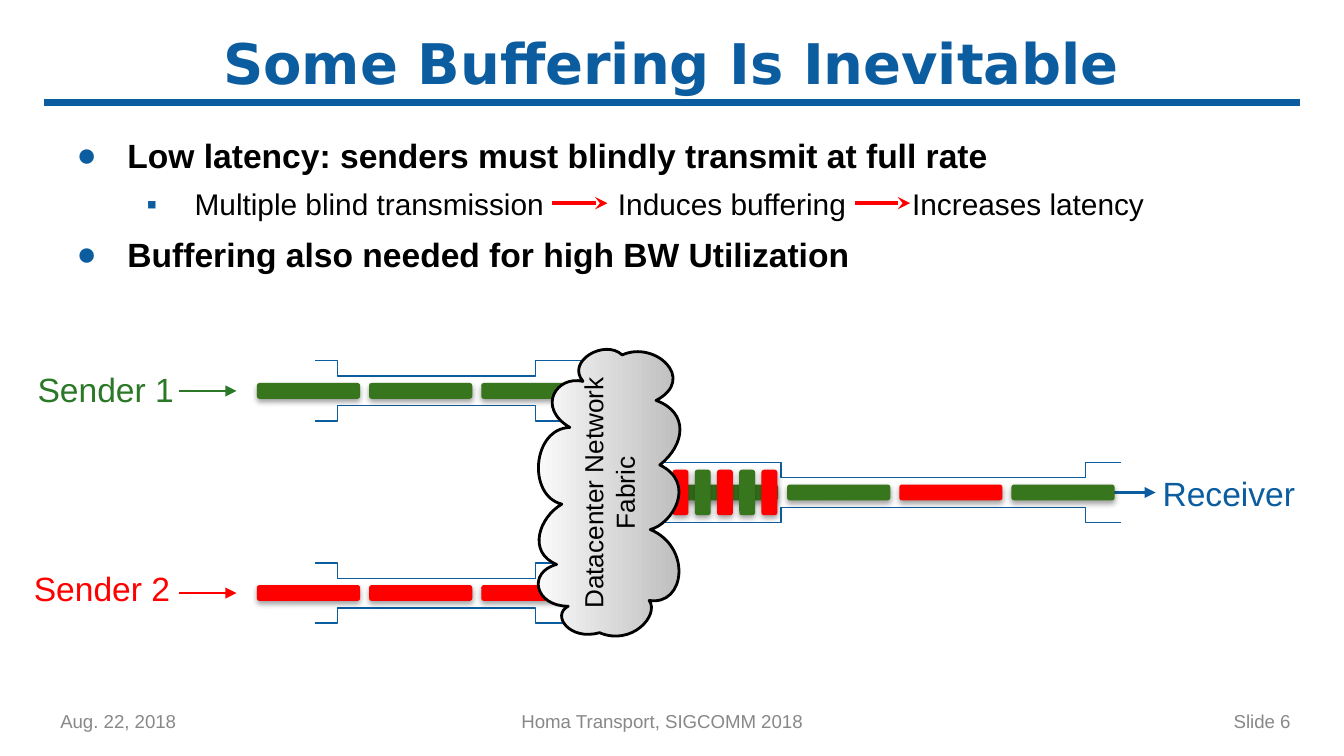
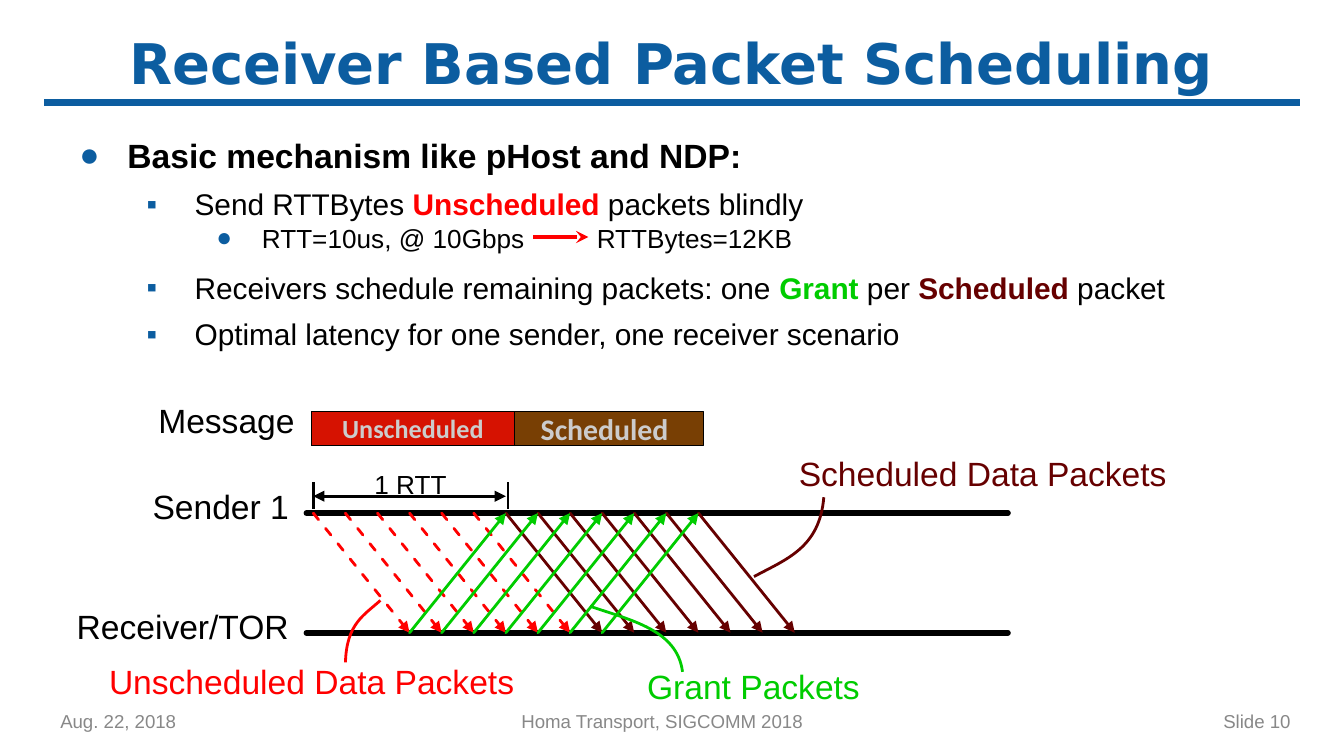
from dataclasses import dataclass

from pptx import Presentation
from pptx.dml.color import RGBColor
from pptx.enum.dml import MSO_LINE_DASH_STYLE as Dash
from pptx.enum.shapes import MSO_CONNECTOR as Connector, MSO_SHAPE as Preset
from pptx.enum.text import MSO_ANCHOR as Anchor, PP_ALIGN as Align
from pptx.oxml.ns import qn
from pptx.util import Cm, Pt
from lxml.etree import SubElement

# Shared look
BLUE = RGBColor(0x0C, 0x5D, 0xA0)
BLACK = RGBColor(0, 0, 0)
GREY = RGBColor(0x88, 0x88, 0x88)
RED = RGBColor(0xFF, 0, 0)
GREEN = RGBColor(0x38, 0x76, 0x1D)
LABEL_GREEN = RGBColor(0x2B, 0x78, 0x27)
GRANT_GREEN = RGBColor(0, 0xCC, 0)
MAROON = RGBColor(0x66, 0, 0)
BROWN = RGBColor(0x78, 0x3F, 0x04)
PALE = RGBColor(0xCC, 0xCC, 0xCC)
CLOUD_LIGHT = RGBColor(0xFA, 0xFA, 0xFA)
CLOUD_DARK = RGBColor(0xBE, 0xBE, 0xBE)
BODY_FONT, TITLE_FONT, BAR_FONT = "Arial", "DejaVu Sans", "Calibri"
INSETS = (0.25, 0.13, 0.25, 0.13)
BULLET_STYLES = [("●", 18, 0.96, 1.3), ("▪", 16, 0.91, 1.3), ("●", 14, 0.86, 1.0)]

Point = tuple[float, float]


@dataclass(frozen=True)
class Label:
    text: str
    left: float
    top: float
    width: float
    height: float = 0.76
    colour: RGBColor = BLACK
    size: float = 18
    align: Align = Align.LEFT
    anchor: Anchor = Anchor.TOP
    insets: tuple[float, ...] = (0, 0, 0, 0)
    font: str = BODY_FONT
    bold: bool = False


@dataclass(frozen=True)
class Bullet:
    level: int
    spans: tuple[tuple[str, RGBColor], ...]
    tabs: tuple[float, ...] = ()
    before: float = 0
    hang: float = 0


@dataclass(frozen=True)
class Sender:
    name: str
    label_left: float
    label_top: float
    y: float
    label_colour: RGBColor
    packet_colour: RGBColor


@dataclass(frozen=True)
class Flow:
    colour: RGBColor
    count: int
    first_slot: int
    upward: bool = False
    dash: Dash | None = None


# Drawing helpers
def style_text(shape, label: Label) -> None:
    frame = shape.text_frame
    frame.text = label.text
    frame.word_wrap = True
    frame.vertical_anchor = label.anchor
    (frame.margin_left, frame.margin_top,
     frame.margin_right, frame.margin_bottom) = map(Cm, label.insets)
    para = frame.paragraphs[0]
    para.alignment = label.align
    font = para.runs[0].font
    font.name, font.size, font.bold = label.font, Pt(label.size), label.bold
    font.color.rgb = label.colour


def frame_of(label: Label) -> list[Cm]:
    return [Cm(v) for v in (label.left, label.top, label.width, label.height)]


def add_label(page, label: Label) -> None:
    style_text(page.shapes.add_textbox(*frame_of(label)), label)


def add_line(page, start: Point, end: Point, colour: RGBColor, width: float,
             tail: str = "", head: str = "", dash: Dash | None = None,
             cap: str = "flat") -> None:
    link = page.shapes.add_connector(Connector.STRAIGHT, *map(Cm, (*start, *end)))
    link.line.color.rgb = colour
    link.line.width = Pt(width)
    if dash:
        link.line.dash_style = dash
    outline = link.line._get_or_add_ln()
    outline.set("cap", cap)
    for tag, kind in (("a:headEnd", head), ("a:tailEnd", tail)):
        if kind:
            SubElement(outline, qn(tag), type=kind)
    SubElement(link._element.spPr, qn("a:effectLst"))


def add_outline(page, points: list[Point], colour: RGBColor, width: float,
                closed: bool = False):
    (x, y), *rest = points
    builder = page.shapes.build_freeform(Cm(x), Cm(y))
    builder.add_line_segments([(Cm(px), Cm(py)) for px, py in rest], close=closed)
    shape = builder.convert_to_shape()
    shape.shadow.inherit = False
    shape.line.color.rgb = colour
    shape.line.width = Pt(width)
    if not closed:
        shape.fill.background()
    return shape


def add_curve(page, controls: list[Point], colour: RGBColor, width: float,
              box: tuple[float, ...] = ()):
    """Draw a chain of cubic curves; a box makes it a closed outline."""
    shape = add_outline(page, controls[::3], colour, width, closed=bool(box))
    if box:
        shape.left, shape.top, shape.width, shape.height = map(Cm, box)
    route = shape._element.spPr.find(".//" + qn("a:path"))
    route.set("w", str(shape.width))
    route.set("h", str(shape.height))
    steps = [route[0], *route.findall(qn("a:lnTo"))]
    for i, step in enumerate(steps):
        step.remove(step[0])
        if i:
            step.tag = qn("a:cubicBezTo")
        for x, y in controls[max(3 * i - 2, 0):3 * i + 1]:
            SubElement(step, qn("a:pt"), x=str(Cm(x) - shape.left),
                       y=str(Cm(y) - shape.top))
    return shape


def add_bullets(page, bullets: list[Bullet]) -> None:
    box = page.shapes.add_textbox(Cm(0.89), Cm(2.2), Cm(23.62), Cm(10.67))
    frame = box.text_frame
    frame.word_wrap = True
    for i, bullet in enumerate(bullets):
        para = frame.add_paragraph() if i else frame.paragraphs[0]
        mark, size, hang, spacing = BULLET_STYLES[bullet.level]
        para.level = bullet.level
        para.line_spacing = spacing
        para.space_before = Pt(bullet.before)
        for text, colour in bullet.spans:
            span = para.add_run()
            span.text = text
            span.font.name, span.font.size = BODY_FONT, Pt(size)
            span.font.bold = bullet.level == 0 or colour != BLACK
            span.font.color.rgb = colour
        props = para._p.get_or_add_pPr()
        props.set("marL", str(Cm(1.27 * (bullet.level + 1))))
        props.set("indent", str(-Cm(bullet.hang or hang)))
        SubElement(SubElement(props, qn("a:buClr")), qn("a:srgbClr"), val=str(BLUE))
        SubElement(props, qn("a:buFont"), typeface=BODY_FONT)
        SubElement(props, qn("a:buChar"), char=mark)
        if bullet.tabs:
            stops = SubElement(props, qn("a:tabLst"))
            for stop in bullet.tabs:
                SubElement(stops, qn("a:tab"), pos=str(Cm(stop)), algn="l")


def add_inline_arrow(page, left: float, y: float) -> None:
    add_line(page, (left, y), (left + 1.04, y), RED, 2.25, tail="stealth")


def add_page(deck, title: str, number: int, bullets: list[Bullet]):
    page = deck.slides.add_slide(deck.slide_layouts[5])
    add_line(page, (0.89, 1.94), (24.51, 1.94), BLUE, 3.5, cap="sq")
    heading = Label(title, 0.84, 0.41, 23.7, 1.52, BLUE, 30, Align.CENTER,
                    Anchor.MIDDLE, INSETS, TITLE_FONT, True)
    holder = page.shapes.title
    holder.left, holder.top, holder.width, holder.height = frame_of(heading)
    style_text(holder, heading)
    for text, left, width, align in (
            ("Aug. 22, 2018", 0.89, 2.79, Align.LEFT),
            ("Homa Transport, SIGCOMM 2018", 9.36, 6.3, Align.CENTER),
            (f"Slide {number}", 22.73, 1.91, Align.RIGHT)):
        add_label(page, Label(text, left, 13.25, width, 0.76, GREY, 10, align,
                              Anchor.MIDDLE, INSETS))
    add_bullets(page, bullets)
    return page


# Slide: buffering
PACKET_STEP = 2.12
SENDERS = [Sender("Sender 1", 0.71, 6.98, 7.39, LABEL_GREEN, GREEN),
           Sender("Sender 2", 0.64, 10.74, 11.21, RED, RED)]
RECEIVER_Y = 9.31
CLOUD_BOX = (10.16, 6.6, 2.69, 5.44)
CLOUD = [
    (10.74, 11.46), (10.11, 11.46), (9.96, 10.82), (10.52, 10.67),
    (9.96, 10.44), (10.19, 9.78), (10.62, 9.53),
    (9.96, 9.37), (10.06, 8.1), (10.77, 8.08),
    (10.13, 7.7), (10.52, 7.09), (11.02, 7.21),
    (10.69, 6.83), (11.43, 6.4), (11.76, 6.71),
    (12.37, 6.43), (13.18, 7.16), (12.4, 7.57),
    (13.03, 7.8), (12.95, 8.41), (12.47, 8.79),
    (13.18, 9.14), (12.7, 9.91), (12.29, 10.01),
    (13.08, 10.34), (12.95, 11.46), (12.27, 11.35),
    (12.47, 11.63), (11.94, 12.22), (11.33, 11.96),
    (10.77, 12.12), (10.41, 11.63), (10.74, 11.46)]


def add_packet(page, x: float, y: float, colour: RGBColor,
               width: float = 1.95, height: float = 0.3) -> None:
    packet = page.shapes.add_shape(
        Preset.ROUNDED_RECTANGLE, Cm(x - height / 2), Cm(y - width / 2),
        Cm(height), Cm(width))
    packet.rotation = 90
    packet.shadow.inherit = False
    packet.fill.solid()
    packet.fill.fore_color.rgb = colour
    packet.line.fill.background()
    effects = packet._element.spPr.find(qn("a:effectLst"))
    shadow = SubElement(effects, qn("a:outerShdw"), blurRad=str(Pt(3.1)),
                        dist=str(Pt(1.6)), dir="5400000", rotWithShape="0")
    tint = SubElement(shadow, qn("a:srgbClr"), val=str(BLACK))
    SubElement(tint, qn("a:alpha"), val="38000")


def add_rails(page, y: float, xs: tuple[float, ...]) -> None:
    a, b, c, d = xs
    for side in (-1, 1):
        outer, inner = y + side * 0.57, y + side * 0.28
        add_outline(page, [(a, outer), (b, outer), (b, inner),
                           (c, inner), (c, outer), (d, outer)], BLUE, 0.75)


def build_buffering(deck) -> None:
    page = add_page(deck, "Some Buffering Is Inevitable", 6, [
        Bullet(0, (("Low latency: senders must blindly transmit at full rate", BLACK),)),
        Bullet(1, (("Multiple blind transmission\tInduces buffering\tIncreases latency",
                    BLACK),), tabs=(10.54, 16.1)),
        Bullet(0, (("Buffering also needed for high BW Utilization", BLACK),))])
    for left in (10.44, 16.16):
        add_inline_arrow(page, left, 3.84)

    # Senders
    for sender in SENDERS:
        add_rails(page, sender.y, (5.95, 6.38, 10.12, 11.61))
        for i in range(3):
            add_packet(page, 5.83 + i * PACKET_STEP, sender.y, sender.packet_colour)
        add_label(page, Label(sender.name, sender.label_left, sender.label_top, 2.84,
                              colour=sender.label_colour))
        add_line(page, (3.38, sender.y), (4.47, sender.y), sender.label_colour, 1.5,
                 tail="triangle")

    # Receiver and its queue
    add_rails(page, RECEIVER_Y, (12.5, 14.76, 20.52, 21.18))
    add_line(page, (19.33, RECEIVER_Y), (21.84, RECEIVER_Y), BLUE, 1.5, tail="triangle")
    for i, colour in enumerate((GREEN, GREEN, RED, GREEN)):
        add_packet(page, 13.73 + i * PACKET_STEP, RECEIVER_Y, colour)
    for i in range(5):
        add_packet(page, 12.86 + i * 0.42, RECEIVER_Y, GREEN if i % 2 else RED, 0.3, 0.86)
    add_label(page, Label("Receiver", 21.08, 8.94, 4.29, colour=BLUE, align=Align.CENTER))

    # Network cloud
    cloud = add_curve(page, CLOUD, BLACK, 1.5, CLOUD_BOX)
    cloud.fill.gradient()
    cloud.fill.gradient_angle = 0
    for stop, colour in zip(cloud.fill.gradient_stops, (CLOUD_LIGHT, CLOUD_DARK)):
        stop.color.rgb = colour
    style_text(cloud, Label("Datacenter Network Fabric", *CLOUD_BOX, size=14,
                            align=Align.CENTER, anchor=Anchor.MIDDLE, insets=INSETS))
    cloud.text_frame._txBody.bodyPr.set("vert", "vert270")


# Slide: scheduling
START, RTT = 5.92, 3.64
SLOT = RTT / 6
SENDER_LINE, RECEIVER_LINE = 9.7, 11.96
FLOWS = [Flow(RED, 6, 0, dash=Dash.DASH), Flow(MAROON, 7, 6),
         Flow(GRANT_GREEN, 7, 3, upward=True)]
LEADERS = [
    (MAROON, [(15.57, 9.4), (15.49, 10.36), (14.86, 10.57), (14.25, 10.9)]),
    (RED, [(6.53, 12.52), (6.55, 11.79), (6.88, 11.63), (7.19, 11.35)]),
    (GRANT_GREEN, [(12.9, 12.7), (12.8, 11.91), (11.94, 11.73), (11.15, 11.46)])]


def add_bar(page, label: Label, fill: RGBColor, opacity: int = 100) -> None:
    bar = page.shapes.add_shape(Preset.RECTANGLE, *frame_of(label))
    bar.shadow.inherit = False
    bar.fill.solid()
    bar.fill.fore_color.rgb = fill
    bar.line.color.rgb = BLACK
    bar.line.width = Pt(0.75)
    if opacity < 100:
        tint = bar._element.spPr.find(qn("a:solidFill"))[0]
        SubElement(tint, qn("a:alpha"), val=str(opacity * 1000))
    style_text(bar, label)


def build_scheduling(deck) -> None:
    page = add_page(deck, "Receiver Based Packet Scheduling", 10, [
        Bullet(0, (("Basic mechanism like pHost and NDP:", BLACK),), hang=0.91),
        Bullet(1, (("Send RTTBytes ", BLACK), ("Unscheduled", RED),
                   (" packets blindly", BLACK))),
        Bullet(2, (("RTT=10us, @ 10Gbps\tRTTBytes=12KB", BLACK),), tabs=(10.14,)),
        Bullet(1, (("Receivers schedule remaining packets: one ", BLACK),
                   ("Grant", GRANT_GREEN), (" per ", BLACK),
                   ("Scheduled", MAROON), (" packet", BLACK)), before=3),
        Bullet(1, (("Optimal latency for one sender, one receiver scenario", BLACK),))])
    add_inline_arrow(page, 10.08, 4.48)

    # Time lines and packets
    for y in (SENDER_LINE, RECEIVER_LINE):
        add_line(page, (5.79, y), (19.05, y), BLACK, 3, cap="rnd")
    for flow in FLOWS:
        ends = (SENDER_LINE, RECEIVER_LINE)
        y1, y2 = reversed(ends) if flow.upward else ends
        for i in range(flow.count):
            x = START + (flow.first_slot + i) * SLOT
            add_line(page, (x, y1), (x + 3 * SLOT, y2), flow.colour, 1.5,
                     tail="triangle", dash=flow.dash, cap="rnd")
    for colour, controls in LEADERS:
        add_curve(page, controls, colour, 1.5)

    # Round trip measure
    for x in (START, START + RTT + 0.04):
        add_line(page, (x, 9.12), (x, 9.63), BLACK, 1.5)
    add_line(page, (START + RTT, 9.38), (START, 9.38), BLACK, 1.5, "triangle", "triangle")

    # Message bar
    add_bar(page, Label("Scheduled", 5.89, 7.78, 7.41, 0.64, PALE, 16,
                        anchor=Anchor.MIDDLE, insets=(4.33, 0.1, 0.18, 0.1),
                        font=BAR_FONT, bold=True), BROWN)
    add_bar(page, Label("Unscheduled", 5.89, 7.78, 3.83, 0.64, PALE, 14, Align.CENTER,
                        Anchor.MIDDLE, (0.18, 0.1, 0.18, 0.1), BAR_FONT, True), RED, 70)

    # Labels
    for label in (
            Label("1 RTT", 6.21, 8.69, 3.1, 0.91, size=14, align=Align.CENTER,
                  anchor=Anchor.MIDDLE, insets=(0.25,) * 4),
            Label("Message", 2.47, 7.56, 3.1, 1.07, align=Align.RIGHT),
            Label("Sender 1", 2.36, 9.19, 3.1, 1.07, align=Align.RIGHT),
            Label("Receiver/TOR", 0.66, 11.46, 4.8, 1.07, align=Align.RIGHT),
            Label("Grant Packets", 12.23, 12.58, 4.88, colour=GRANT_GREEN),
            Label("Scheduled Data Packets", 15.04, 8.56, 7.01, colour=MAROON,
                  align=Align.RIGHT),
            Label("Unscheduled Data Packets", 2, 12.5, 7.72, colour=RED,
                  align=Align.RIGHT)):
        add_label(page, label)


def main() -> None:
    deck = Presentation()
    deck.slide_width, deck.slide_height = Cm(25.4), Cm(14.29)
    build_buffering(deck)
    build_scheduling(deck)
    deck.save("out.pptx")


if __name__ == "__main__":
    main()
